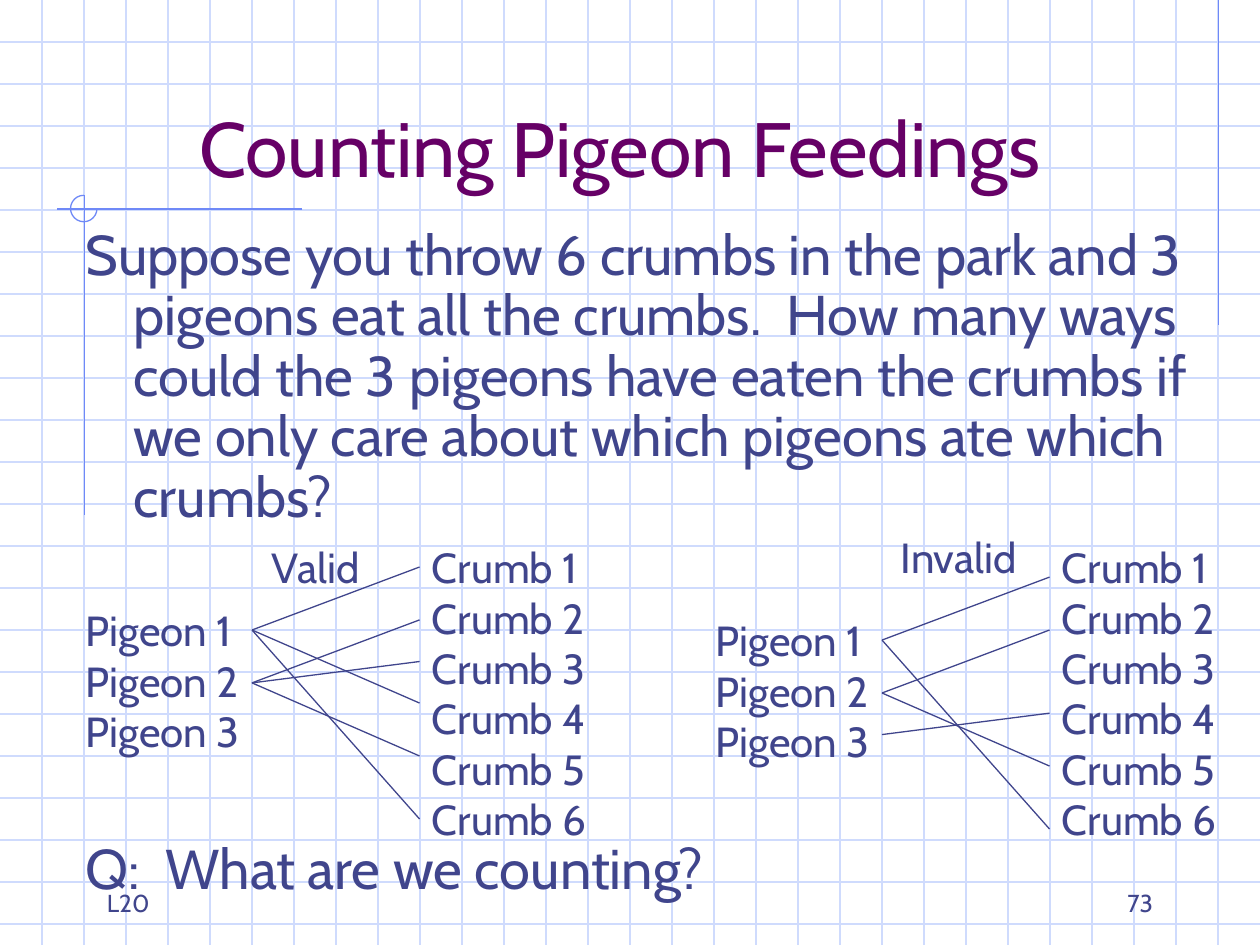
from dataclasses import dataclass

from lxml import etree
from pptx import Presentation
from pptx.dml.color import RGBColor
from pptx.enum.shapes import MSO_CONNECTOR, MSO_SHAPE
from pptx.enum.text import MSO_ANCHOR, MSO_AUTO_SIZE, PP_ALIGN
from pptx.oxml.ns import qn
from pptx.util import Inches, Pt

STRAIGHT = MSO_CONNECTOR.STRAIGHT
ARC = MSO_SHAPE.ARC
TOP, BOTTOM = MSO_ANCHOR.TOP, MSO_ANCHOR.BOTTOM
LEFT, CENTER, RIGHT = PP_ALIGN.LEFT, PP_ALIGN.CENTER, PP_ALIGN.RIGHT


@dataclass(frozen=True)
class Theme:
    font: str = "Cabin"
    title: RGBColor = RGBColor(0x66, 0x00, 0x66)
    text: RGBColor = RGBColor(0x40, 0x45, 0x8C)
    grid: RGBColor = RGBColor(0xCF, 0xDB, 0xFD)
    accent: RGBColor = RGBColor(0x6F, 0x89, 0xF7)
    title_size: int = 44
    body_size: int = 32
    label_size: int = 24
    footer_size: int = 14


T = Theme()

prs = Presentation()
prs.slide_width, prs.slide_height = Inches(10), Inches(7.5)
s = prs.slides.add_slide(prs.slide_layouts[1])


def line(x1, y1, x2, y2, color):
    c = s.shapes.add_connector(STRAIGHT, Inches(x1), Inches(y1), Inches(x2), Inches(y2))
    c.line.color.rgb = color
    c.line.width = Pt(0.75)
    etree.SubElement(c._element.spPr, qn("a:effectLst"))


def write(sp, box, text, size, color=T.text, align=LEFT, anchor=TOP, wrap=True):
    """Place sp at box (left, top, width, height in inches) and fill in its text."""
    sp.left, sp.top, sp.width, sp.height = map(Inches, box)
    tf = sp.text_frame
    tf.text = text
    tf.word_wrap = wrap
    tf.auto_size = MSO_AUTO_SIZE.NONE
    tf.vertical_anchor = anchor
    for p in tf.paragraphs:
        p.alignment = align
        for r in p.runs:
            r.font.name = T.font
            r.font.size = Pt(size)
            r.font.color.rgb = color


# Squared paper, three squares to the inch
for i in range(1, 23):
    line(0, i / 3, 10, i / 3, T.grid)
for i in range(1, 30):
    line(i / 3, 0, i / 3, 7.5, T.grid)

# Margin rules and the open circle where two of them cross
line(9.67, 0, 9.67, 2.58, T.accent)
line(2.4, 1.66, 0.45, 1.66, T.accent)
line(0.67, 1.55, 0.67, 4.09, T.accent)
arc = s.shapes.add_shape(ARC, Inches(0.56), Inches(1.55), Inches(0.21), Inches(0.21))
arc.adjustments[0], arc.adjustments[1] = 0, 162  # right, clockwise to the top
arc.fill.background()
arc.line.color.rgb = T.accent
arc.line.width = Pt(0.75)
arc.shadow.inherit = False

# Title and body, brought in front of the squared paper
title, body = s.shapes.title, s.placeholders[1]
for sp in (title, body):
    s.shapes._spTree.append(sp._element)
write(title, (0.67, 0.33, 8.5, 1.25), "Counting Pigeon Feedings",
      T.title_size, T.title, CENTER, BOTTOM)
write(body, (0.58, 1.75, 9.42, 5.67),
      "Suppose you throw 6 crumbs in the park and 3 pigeons eat all the crumbs.  "
      "How many ways could the 3 pigeons have eaten the crumbs if we only care "
      "about which pigeons ate which crumbs?\n"
      "Q:  What are we counting?", T.body_size)
for p, gap in zip(body.text_frame.paragraphs, (8, 178)):  # room for the diagrams
    p.line_spacing = 0.9
    p.space_before = Pt(gap)
    pPr = p._p.get_or_add_pPr()
    pPr.set("marL", str(Inches(0.38)))
    pPr.set("indent", str(-Inches(0.38)))
    etree.SubElement(pPr, qn("a:buNone"))

# Two diagrams: who ate what, as (pigeon, crumb) pairs
PIGEON_Y = {1: 5, 2: 5.42, 3: 5.75}
CRUMB_Y = {1: 4.5, 2: 4.92, 3: 5.25, 4: 5.58, 5: 6, 6: 6.5}
pigeons = "\n".join(f"Pigeon {n}" for n in PIGEON_Y)
crumbs = "\n".join(f"Crumb {n}" for n in CRUMB_Y)
diagrams = [
    ("Valid", (2.06, 4.25, 0.96, 0.5), 0, 0,
     [(1, 1), (2, 2), (2, 3), (1, 4), (1, 6), (2, 5)]),
    ("Invalid", (7.05, 4.17, 1.25, 0.5), 5, 0.08,
     [(1, 1), (2, 2), (3, 4), (1, 6), (2, 5)]),
]
for label, label_box, dx, dy, feedings in diagrams:
    for text, box, wrap in [
        (crumbs, (3.33 + dx, 4.25, 1.58, 2.5), True),
        (pigeons, (0.58 + dx, 4.75 + dy, 1.58, 1.3), True),
        (label, label_box, False),
    ]:
        write(s.shapes.add_textbox(0, 0, 0, 0), box, text, T.label_size, wrap=wrap)
    for pigeon, crumb in feedings:
        line(2 + dx, PIGEON_Y[pigeon] + dy, 3.33 + dx, CRUMB_Y[crumb] + dy, T.text)

# Footer
for text, left, align in [("73", 7.17, RIGHT), ("L20", 0.75, LEFT)]:
    write(s.shapes.add_textbox(0, 0, 0, 0), (left, 6.83, 2.08, 0.5), text,
          T.footer_size, align=align, anchor=BOTTOM)

prs.save("out.pptx")
